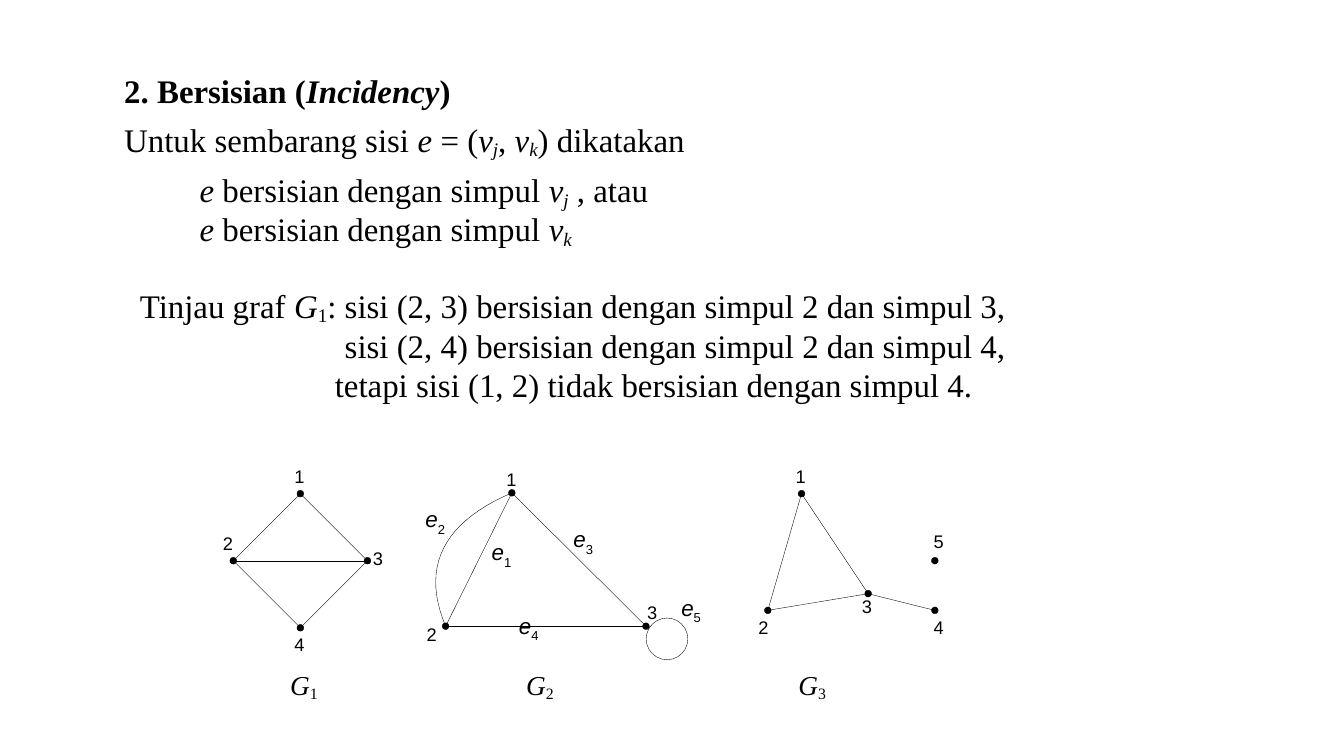
from lxml.etree import SubElement
from pptx import Presentation
from pptx.dml.color import RGBColor
from pptx.enum.shapes import MSO_CONNECTOR, MSO_SHAPE
from pptx.enum.text import MSO_ANCHOR, PP_ALIGN
from pptx.oxml.ns import qn
from pptx.util import Cm, Pt

INK = "000000"
SERIF, SANS = "Times New Roman", "Arial"
ITALIC = {"italic": True}
BOLD = {"bold": True}


def colour(hex_value):
    return RGBColor.from_string(hex_value)


class GraphSlide:
    """Holds the slide, its line width and the node size."""

    hairline = Pt(0.25)
    node_size = 0.17

    def __init__(self, slide):
        self.slide = slide
        self.shapes = slide.shapes

    def add_runs(self, paragraph, runs, font_name, size):
        """Add (text, format[, baseline in percent]) runs."""
        for text, extra, *baseline in runs:
            run = paragraph.add_run()
            run.text = text
            values = {"name": font_name, "size": Pt(size), "bold": False, "italic": False} | extra
            for name, value in values.items():
                setattr(run.font, name, value)
            run.font.color.rgb = colour(INK)
            if baseline:
                run._r.get_or_add_rPr().set("baseline", str(baseline[0] * 1000))

    def frame(self, shape, top_inset, anchor=MSO_ANCHOR.TOP):
        text_frame = shape.text_frame
        values = {"margin_left": 0, "margin_right": 0, "margin_bottom": 0,
                  "margin_top": Cm(top_inset), "word_wrap": True, "vertical_anchor": anchor}
        for name, value in values.items():
            setattr(text_frame, name, value)
        return text_frame

    def title(self, left, top, width, height, runs):
        heading = self.shapes.title
        for name, value in zip(("left", "top", "width", "height"), (left, top, width, height)):
            setattr(heading, name, Cm(value))
        paragraph = self.frame(heading, 0.05, MSO_ANCHOR.MIDDLE).paragraphs[0]
        paragraph.alignment = PP_ALIGN.LEFT
        self.add_runs(paragraph, runs, SERIF, 23.5)

    def text(self, left, top, width, height, lines, font_name, size, top_inset=0.05):
        """Each line is (runs, indent in cm, paragraph format)."""
        box = self.shapes.add_textbox(Cm(left), Cm(top), Cm(width), Cm(height))
        text_frame = self.frame(box, top_inset)
        for index, (runs, indent, values) in enumerate(lines):
            paragraph = text_frame.add_paragraph() if index else text_frame.paragraphs[0]
            paragraph._p.get_or_add_pPr().set("marL", str(Cm(indent)))
            for name, value in values.items():
                setattr(paragraph, name, value)
            self.add_runs(paragraph, runs, font_name, size)

    def number(self, left, top, digit):
        self.text(left, top, 0.33, 0.64, [([(digit, {})], 0.03, {})], SANS, 13)

    def edge_name(self, left, top, digit):
        runs = [("e", ITALIC), (digit, {}, -29)]
        self.text(left, top, 0.74, 0.74, [(runs, 0.1, {})], SANS, 16, 0.03)

    def graph_name(self, left, top, digit):
        runs = [("G", ITALIC), (digit, {}, -13)]
        self.text(left, top, 0.94, 0.91, [(runs, 0.1, {})], SERIF, 19.5)

    def edge(self, start, end):
        line = self.shapes.add_connector(MSO_CONNECTOR.STRAIGHT, *map(Cm, (*start, *end)))
        line.line.color.rgb = colour(INK)
        line.line.width = self.hairline
        SubElement(line._element.spPr, qn("a:effectLst"))

    def outline(self, shape, fill=None):
        shape.shadow.inherit = False
        if fill:
            shape.fill.solid()
            shape.fill.fore_color.rgb = colour(fill)
        else:
            shape.fill.background()
        shape.line.color.rgb = colour(INK)
        shape.line.width = self.hairline

    def circle(self, centre, size, fill=None):
        left, top = (Cm(value - size / 2) for value in centre)
        self.outline(self.shapes.add_shape(MSO_SHAPE.OVAL, left, top, Cm(size), Cm(size)), fill)

    def curve(self, start, control, end, steps=22):
        """Draw a quadratic curve as a fine open polyline."""
        points = []
        for step in range(steps + 1):
            t = step / steps
            points.append([Cm((1 - t) ** 2 * a + 2 * t * (1 - t) * b + t * t * c)
                           for a, b, c in zip(start, control, end)])
        builder = self.shapes.build_freeform(*points[0])
        builder.add_line_segments(points[1:], close=False)
        self.outline(builder.convert_to_shape())

    def graph(self, nodes, edges, numbers, name_left, name):
        for start, end in edges:
            self.edge(nodes[start], nodes[end])
        for centre in nodes.values():
            self.circle(centre, self.node_size, INK)
        for digit, (left, top) in numbers.items():
            self.number(left, top, str(digit))
        self.graph_name(name_left, 16.79, name)


def main():
    presentation = Presentation()
    presentation.slide_width, presentation.slide_height = Cm(33.87), Cm(19.05)
    page = GraphSlide(presentation.slides.add_slide(presentation.slide_layouts[5]))

    # Heading
    page.title(3.13, 1.7, 8.41, 1.09, [
        ("2. Bersisian (", BOLD), ("Incidency", BOLD | ITALIC), (")", BOLD)])

    # Definition and example
    leading = {"line_spacing": Pt(27.8)}
    right = leading | {"alignment": PP_ALIGN.RIGHT}
    vertex_j = [("v", ITALIC), ("j", ITALIC, -13)]
    vertex_k = [("v", ITALIC), ("k", ITALIC, -13)]
    incident = [("e", ITALIC), (" bersisian dengan simpul ", {})]
    page.text(3, 2.72, 22.35, 7.44, [
        ([("Untuk sembarang sisi ", {}), ("e", ITALIC), (" = (", {}), *vertex_j, (", ", {}),
          *vertex_k, (") dikatakan", {})], 0.13, {}),
        ([*incident, *vertex_j, (" , atau", {})], 2.03, leading | {"space_before": Pt(8)}),
        ([*incident, *vertex_k], 2.03, leading),
        ([("Tinjau graf ", {}), ("G", ITALIC), ("1", {}, -13),
          (": sisi (2, 3) bersisian dengan simpul 2 dan simpul 3,", {})], 0,
         right | {"space_before": Pt(27)}),
        ([("sisi (2, 4) bersisian dengan simpul 2 dan simpul 4,", {})], 0, right),
        ([("tetapi sisi (1, 2) tidak bersisian dengan simpul 4.", {})], 5.44, leading),
    ], SERIF, 23.5, 0.3)

    # Graph G1: a diamond with its horizontal diagonal
    centre_x, centre_y, reach = 7.57, 14.13, 1.69
    page.graph(
        {1: (centre_x, centre_y - reach), 2: (centre_x - reach, centre_y),
         3: (centre_x + reach, centre_y), 4: (centre_x, centre_y + reach)},
        [(1, 2), (1, 3), (2, 3), (2, 4), (3, 4)],
        {1: (7.39, 11.68), 2: (5.59, 13.36), 3: (9.37, 13.74), 4: (7.39, 15.9)},
        7.21, "1")

    # Graph G2: a double edge and a loop
    top_node, left_node, right_node = (12.9, 12.42), (11.23, 15.78), (16.28, 15.78)
    page.curve(top_node, (10.29, 13.54), left_node)
    page.circle((16.81, 16.1), 1.05)
    page.graph(
        {1: top_node, 2: left_node, 3: right_node},
        [(1, 2), (1, 3), (2, 3)],
        {1: (12.73, 11.76), 2: (10.72, 15.65), 3: (16.28, 15.09)},
        13.16, "2")
    edge_places = [(12.29, 13.54), (10.62, 12.7), (14.35, 13.21), (12.98, 15.39), (17.07, 14.94)]
    for digit, (left, top) in enumerate(edge_places, 1):
        page.edge_name(left, top, str(digit))

    # Graph G3: a triangle, a pendant node and an isolated node
    page.graph(
        {1: (20.2, 12.44), 2: (19.35, 15.38), 3: (21.88, 14.96),
         4: (23.56, 15.38), 5: (23.56, 14.13)},
        [(1, 2), (1, 3), (2, 3), (3, 4)],
        {1: (20.02, 11.68), 2: (19.08, 15.47), 3: (21.69, 14.96),
         4: (23.5, 15.47), 5: (23.5, 13.31)},
        20.02, "3")

    presentation.save("out.pptx")


if __name__ == "__main__":
    main()
